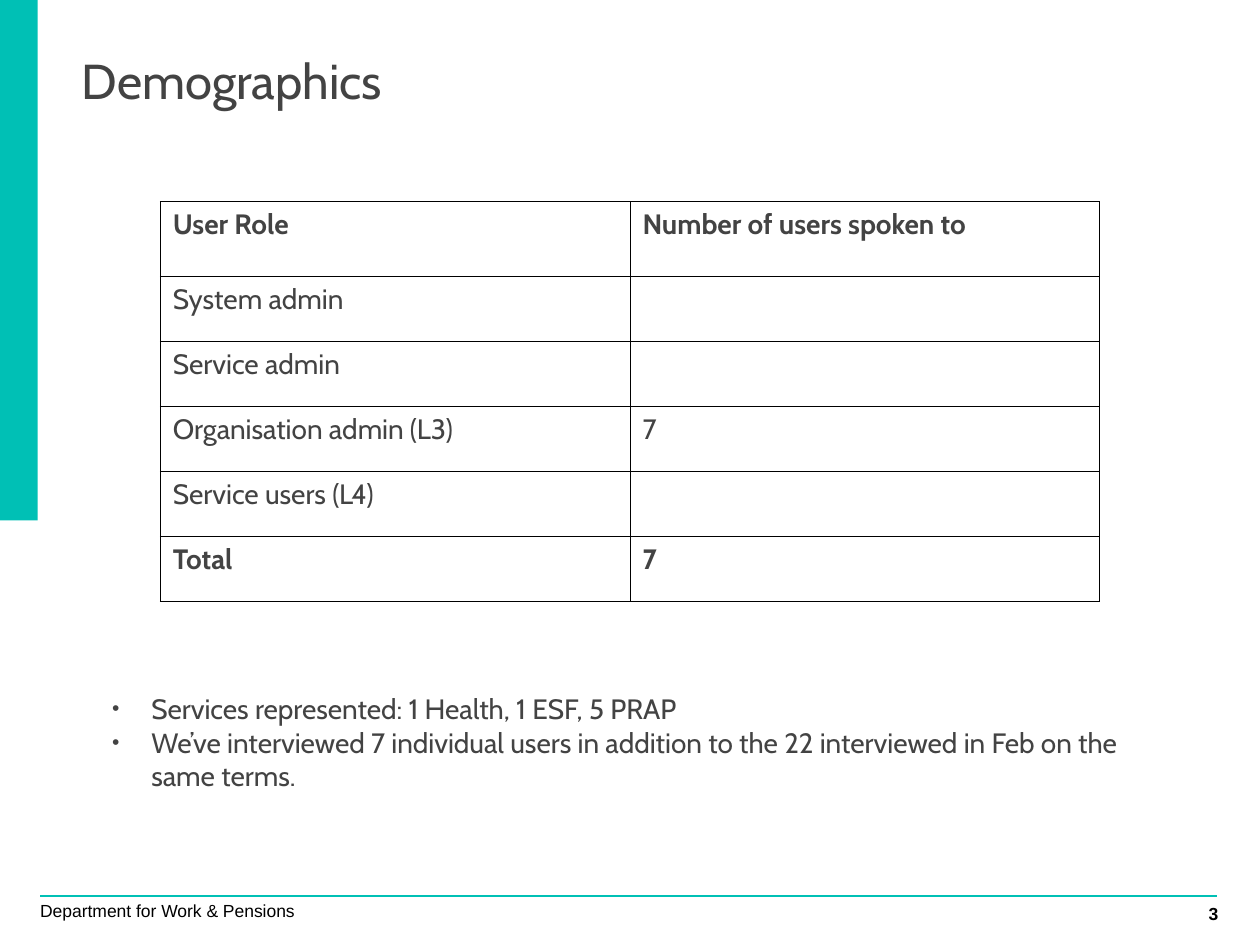
"""Build the Demographics slide: a table of users by role and two notes."""
from lxml import etree
from pptx import Presentation
from pptx.dml.color import RGBColor
from pptx.enum.shapes import MSO_CONNECTOR, MSO_SHAPE
from pptx.enum.text import MSO_ANCHOR, MSO_AUTO_SIZE, PP_ALIGN
from pptx.oxml import parse_xml
from pptx.oxml.ns import nsdecls, qn
from pptx.util import Cm, Pt

STRAIGHT = MSO_CONNECTOR.STRAIGHT
RECTANGLE = MSO_SHAPE.RECTANGLE
TOP, MIDDLE = MSO_ANCHOR.TOP, MSO_ANCHOR.MIDDLE
LEFT, RIGHT = PP_ALIGN.LEFT, PP_ALIGN.RIGHT
NO_FIT = MSO_AUTO_SIZE.NONE
COLORS = {"teal": "00C0B5", "text": "434343", "black": "000000"}


def add_run(paragraph, text, size, color="text", font="Cabin", bold=False):
    run = paragraph.add_run()
    run.text = text
    run.font.size = Pt(size)
    run.font.name = font
    run.font.bold = bold
    run.font.color.rgb = RGBColor.from_string(COLORS[color])


def set_frame(shape, place, inset, anchor=TOP, wrap=True):
    shape.left, shape.top, shape.width, shape.height = [Cm(v) for v in place]
    frame = shape.text_frame
    frame.margin_left = frame.margin_right = Cm(inset)
    frame.margin_top = frame.margin_bottom = Cm(inset)
    frame.vertical_anchor = anchor
    frame.word_wrap = wrap
    frame.auto_size = NO_FIT
    return frame


prs = Presentation()
prs.slide_width, prs.slide_height = Cm(25.4), Cm(19.05)
slide = prs.slides.add_slide(prs.slide_layouts[1])
shapes = slide.shapes

side_bar = shapes.add_shape(RECTANGLE, 0, 0, Cm(0.76), Cm(10.49))
side_bar.shadow.inherit = False
side_bar.fill.solid()
side_bar.fill.fore_color.rgb = RGBColor.from_string(COLORS["teal"])
side_bar.line.fill.background()

footer_rule = shapes.add_connector(STRAIGHT, Cm(0.81), Cm(18.06), Cm(24.54), Cm(18.06))
footer_rule.line.color.rgb = RGBColor.from_string(COLORS["teal"])
footer_rule.line.width = Pt(0.75)
etree.SubElement(footer_rule._element.spPr, qn("a:effectLst"))

footers = [
    ("3", (23.14, 18.16, 1.42, 0.41), RIGHT, True, 1.1),
    ("Department for Work & Pensions", (0.81, 18.14, 5.13, 0.43), LEFT, False, 1.0),
]
for text, place, align, bold, spacing in footers:
    footer = shapes.add_textbox(0, 0, 0, 0)
    line = set_frame(footer, place, 0, wrap=bold).paragraphs[0]
    line.alignment = align
    line.line_spacing = spacing
    add_run(line, text, 10, "black", "Arial", bold)

heading = set_frame(shapes.title, (1.32, 0.66, 18.64, 1.9), 0.33, MIDDLE).paragraphs[0]
heading.alignment = LEFT
add_run(heading, "Demographics", 28)

user_counts = [
    ("User Role", "Number of users spoken to"),
    ("System admin", ""),
    ("Service admin", ""),
    ("Organisation admin (L3)", "7"),
    ("Service users (L4)", ""),
    ("Total", "7"),
]
last_row = len(user_counts) - 1
roles = shapes.add_table(
    len(user_counts), 2, Cm(3.23), Cm(4.06), Cm(18.94), Cm(8.07)
).table
roles.first_row = roles.horz_banding = False
for column in roles.columns:
    column.width = Cm(9.47)
for r, values in enumerate(user_counts):
    roles.rows[r].height = Cm(1.52 if r == 0 else 1.31)
    for c, value in enumerate(values):
        cell = roles.cell(r, c)
        for side in ("lnL", "lnR", "lnT", "lnB"):
            cell._tc.get_or_add_tcPr().append(parse_xml(
                f'<a:{side} {nsdecls("a")} w="{Pt(0.45)}"><a:solidFill>'
                f'<a:srgbClr val="{COLORS["black"]}"/></a:solidFill></a:{side}>'
            ))
        cell.fill.background()
        if value:
            add_run(cell.text_frame.paragraphs[0], value, 16, bold=r in (0, last_row))

notes = [
    "Services represented: 1 Health, 1 ESF, 5 PRAP",
    "We’ve interviewed 7 individual users in addition to the 22 interviewed "
    "in Feb on the same terms.",
]
body = set_frame(slide.placeholders[1], (2.01, 13.69, 22.17, 3.1), 0.25)
for i, note in enumerate(notes):
    item = body.add_paragraph() if i else body.paragraphs[0]
    properties = item._p.get_or_add_pPr()
    properties.set("marL", str(Cm(0.79)))
    properties.set("indent", str(-Cm(0.79)))
    bullet_color = etree.SubElement(properties, qn("a:buClr"))
    etree.SubElement(bullet_color, qn("a:srgbClr"), val=COLORS["text"])
    etree.SubElement(properties, qn("a:buSzPct"), val="75000")
    etree.SubElement(properties, qn("a:buFont"), typeface="Arial")
    etree.SubElement(properties, qn("a:buChar"), char="•")
    item.space_before = Pt(0)
    add_run(item, note, 16)

prs.save("out.pptx")
